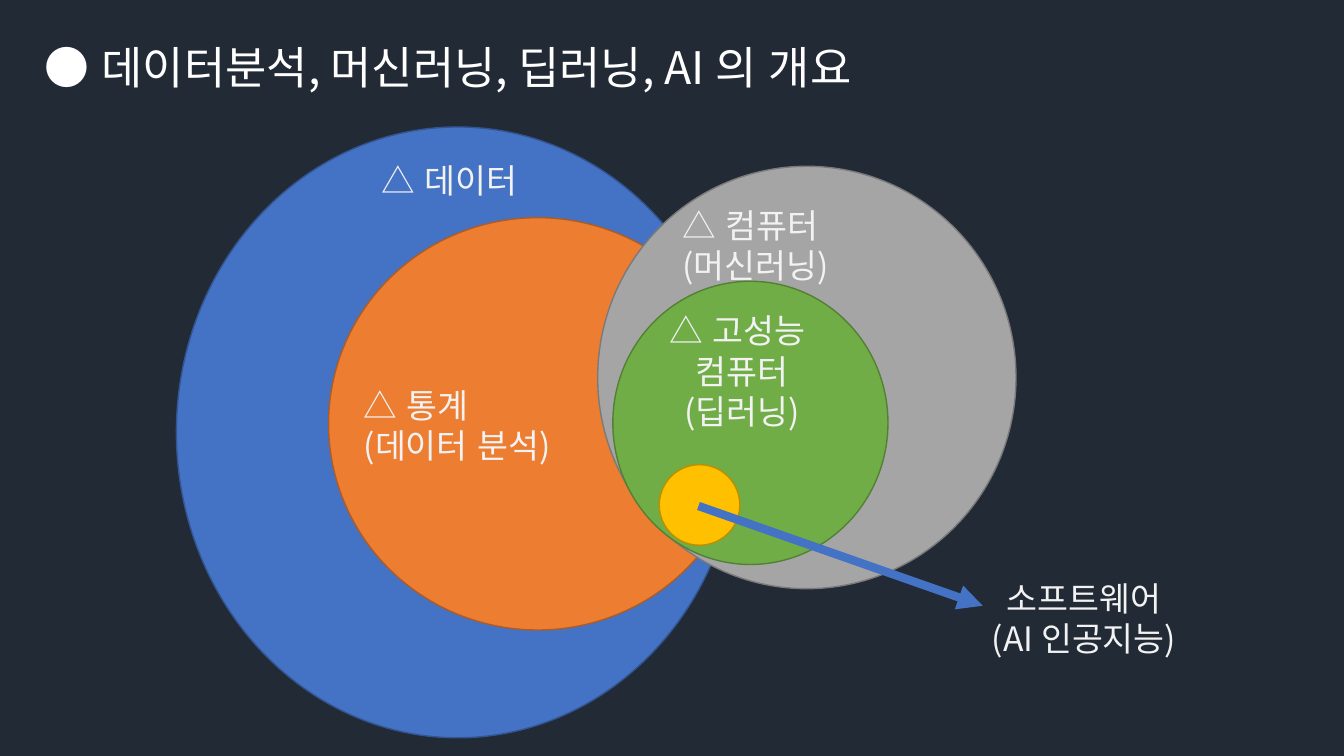
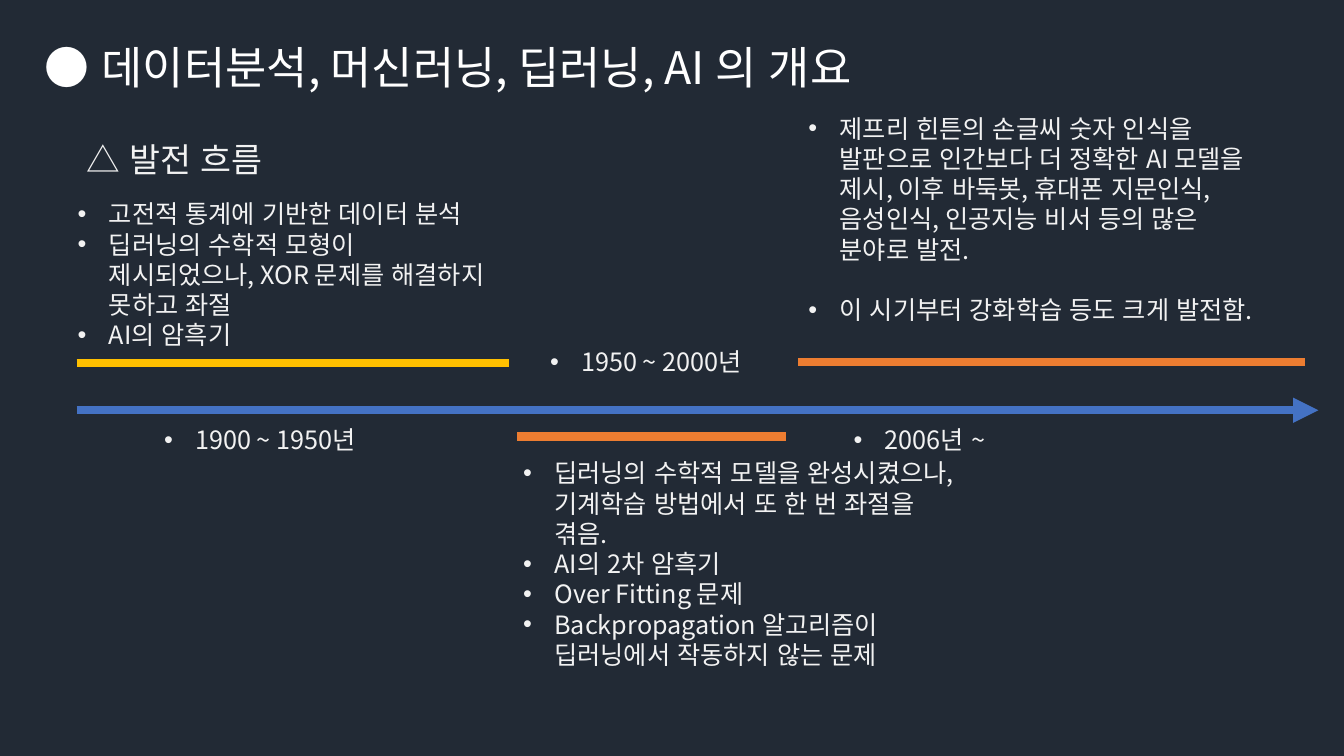
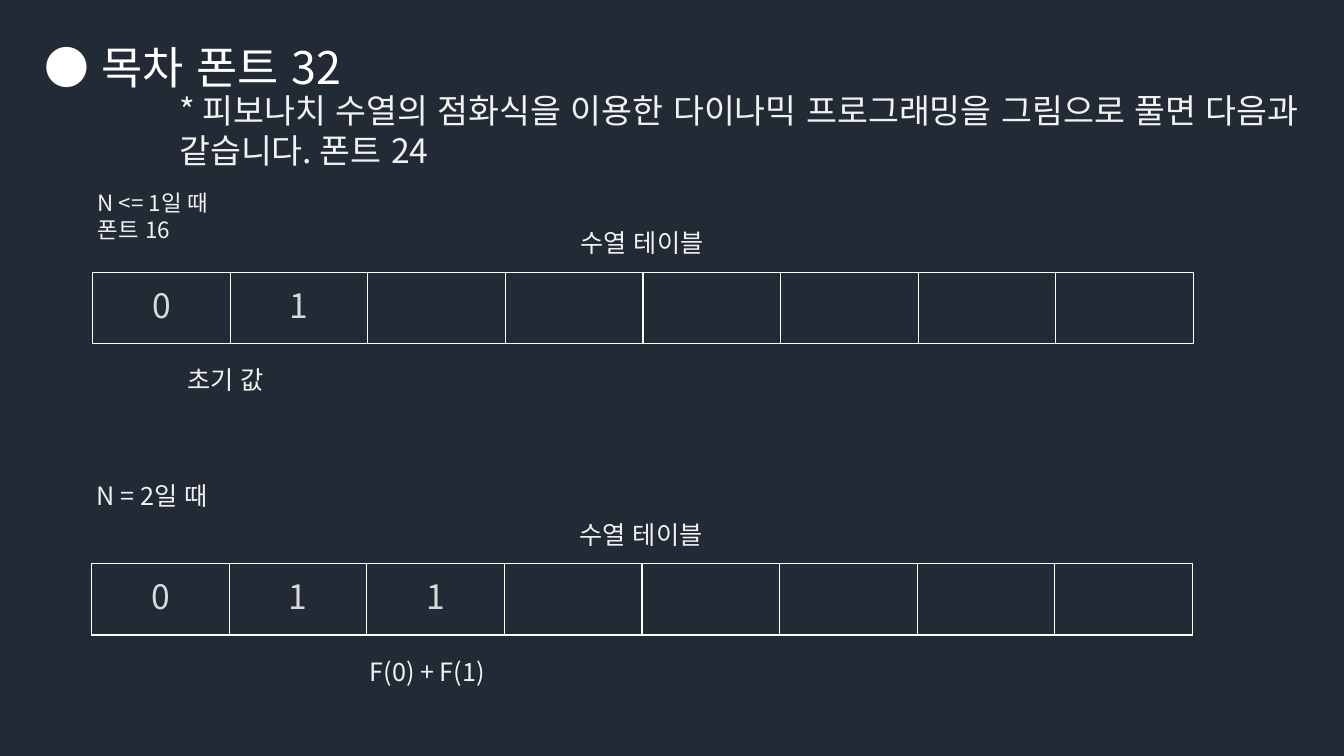
import pptx
import pptx.dml.color
import pptx.enum.lang
import pptx.enum.shapes
import pptx.enum.text
import pptx.oxml
import pptx.oxml.ns
import pptx.util

RGBColor = pptx.dml.color.RGBColor
ALIGN = pptx.enum.text.PP_ALIGN
ANCHOR = pptx.enum.text.MSO_ANCHOR

NAVY = RGBColor(0x22, 0x2A, 0x35)
WHITE = RGBColor(0xFF, 0xFF, 0xFF)
PALE = RGBColor(0xF2, 0xF2, 0xF2)
SILVER = RGBColor(0xD9, 0xD9, 0xD9)
BLUE = RGBColor(0x44, 0x72, 0xC4)
BLUE_EDGE = RGBColor(0x32, 0x54, 0x91)
ORANGE = RGBColor(0xED, 0x7D, 0x31)
ORANGE_EDGE = RGBColor(0xAF, 0x5C, 0x24)
GRAY = RGBColor(0xA5, 0xA5, 0xA5)
GRAY_EDGE = RGBColor(0x7A, 0x7A, 0x7A)
GREEN = RGBColor(0x70, 0xAD, 0x47)
GREEN_EDGE = RGBColor(0x53, 0x80, 0x35)
GOLD = RGBColor(0xFF, 0xC0, 0x00)
GOLD_EDGE = RGBColor(0xBD, 0x8E, 0x00)

FONT = "Noto Sans CJK KR"
COLUMNS, ROWS = 40, 30
LINE_HEIGHT = 1.2
TITLE_ONLY, COMPARISON = 5, 4
OVERVIEW = "● 데이터분석, 머신러닝, 딥러닝, AI 의 개요"


def assign(target, values):
    for name, value in values.items():
        setattr(target, name, value)


def add_xml(parent, tag, **attributes):
    child = pptx.oxml.parse_xml(
        f'<a:{tag} xmlns:a="http://schemas.openxmlformats.org/drawingml/2006/main"/>'
    )
    for name, value in attributes.items():
        child.set(name, str(value))
    parent.append(child)
    return child


class Presenter:
    def __init__(self):
        self.deck = pptx.Presentation()
        assign(self.deck, {
            "slide_width": pptx.util.Inches(13.33),
            "slide_height": pptx.util.Inches(7.5),
        })
        background = self.deck.slide_master.background.fill
        background.solid()
        background.fore_color.rgb = NAVY
        self.page = None

    def x(self, columns):
        return round(self.deck.slide_width * columns / COLUMNS)

    def y(self, rows):
        return round(self.deck.slide_height * rows / ROWS)

    def area(self, left, top, width, height):
        return self.x(left), self.y(top), self.x(width), self.y(height)

    def start(self, layout, title, width):
        self.page = self.deck.slides.add_slide(self.deck.slide_layouts[layout])
        self.fill_box(self.page.shapes.title, (1.02, 1.36, width, 2.56),
                      [title], size=32, color=WHITE)

    def fill_para(self, para, text, size, color, align=ALIGN.LEFT, bullet=False, gap=0):
        assign(para, {
            "alignment": align,
            "line_spacing": pptx.util.Pt(size * LINE_HEIGHT),
            "space_before": pptx.util.Pt(gap),
            "space_after": pptx.util.Pt(0),
        })
        properties = para._p.get_or_add_pPr()
        indent = pptx.util.Inches(0.31) if bullet else 0
        properties.set("marL", str(indent))
        properties.set("indent", str(-indent))
        if bullet:
            add_xml(properties, "buFont", typeface="Arial")
            add_xml(properties, "buChar", char="•")
        else:
            add_xml(properties, "buNone")
        span = para.add_run()
        span.text = text
        assign(span.font, {
            "name": FONT,
            "size": pptx.util.Pt(size),
            "bold": False,
            "language_id": pptx.enum.lang.MSO_LANGUAGE_ID.KOREAN,
        })
        span.font.color.rgb = color
        add_xml(span._r.get_or_add_rPr(), "ea", typeface=FONT)

    def fill_box(self, box, area, lines, size=24, color=PALE,
                 align=ALIGN.LEFT, bullet=False, gap=0):
        assign(box, dict(zip(("left", "top", "width", "height"), self.area(*area))))
        frame = box.text_frame
        assign(frame, {
            "word_wrap": True,
            "auto_size": pptx.enum.text.MSO_AUTO_SIZE.SHAPE_TO_FIT_TEXT,
            "vertical_anchor": ANCHOR.TOP,
            "margin_left": pptx.util.Inches(0.1),
            "margin_right": pptx.util.Inches(0.1),
            "margin_top": pptx.util.Inches(0.05),
            "margin_bottom": pptx.util.Inches(0.05),
        })
        for number, line in enumerate(lines):
            para = frame.add_paragraph() if number else frame.paragraphs[0]
            self.fill_para(para, line, size, color, align, bullet, gap if number else 0)

    def text(self, area, lines, **style):
        box = self.page.shapes.add_textbox(*self.area(*area))
        self.fill_box(box, area, lines, **style)

    def body(self, index, area, lines, **style):
        self.fill_box(self.page.placeholders[index], area, lines, **style)

    def circle(self, area, color, edge):
        shape = self.page.shapes.add_shape(
            pptx.enum.shapes.MSO_SHAPE.OVAL, *self.area(*area))
        shape.shadow.inherit = False
        shape.fill.solid()
        shape.fill.fore_color.rgb = color
        shape.line.color.rgb = edge
        shape.line.width = pptx.util.Pt(1)

    def line(self, start, end, color, arrow=False):
        connector = self.page.shapes.add_connector(
            pptx.enum.shapes.MSO_CONNECTOR.STRAIGHT,
            self.x(start[0]), self.y(start[1]), self.x(end[0]), self.y(end[1]))
        connector.line.color.rgb = color
        connector.line.width = pptx.util.Pt(6)
        if arrow:
            add_xml(connector.line._get_or_add_ln(), "tailEnd", type="triangle")
        add_xml(connector._element.spPr, "effectLst")

    def sequence(self, area, values, count):
        table = self.page.shapes.add_table(1, count, *self.area(*area)).table
        assign(table, {"first_row": False, "horz_banding": False})
        for number, cell in enumerate(table.iter_cells()):
            cell.vertical_anchor = ANCHOR.MIDDLE
            properties = cell._tc.get_or_add_tcPr()
            for side in ("lnL", "lnR", "lnT", "lnB"):
                border = add_xml(properties, side, w=pptx.util.Pt(1))
                add_xml(add_xml(border, "solidFill"), "srgbClr", val=WHITE)
            cell.fill.background()
            if number < len(values):
                self.fill_para(cell.text_frame.paragraphs[0], values[number],
                               24, SILVER, ALIGN.CENTER)


def draw_circles(show):
    show.start(TITLE_ONLY, OVERVIEW, 27.27)
    fields = (
        ((5.25, 5.04, 16.74, 24.24), BLUE, BLUE_EDGE,
         (11.07, 6.16, 7.77, 2), ["△ 데이터"], ALIGN.LEFT),
        ((9.78, 8.64, 12.45, 16.36), ORANGE, ORANGE_EDGE,
         (10.53, 15.08, 7.41, 3.64), ["△ 통계", "(데이터 분석)"], ALIGN.LEFT),
        ((17.79, 6.6, 12.45, 16.76), GRAY, GRAY_EDGE,
         (20.01, 7.92, 7.41, 3.64), ["△ 컴퓨터", "(머신러닝)"], ALIGN.LEFT),
        ((18.24, 11.16, 8.19, 11.24), GREEN, GREEN_EDGE,
         (18.39, 12.12, 7.41, 5.24), ["△ 고성능 ", "컴퓨터", "(딥러닝)"], ALIGN.CENTER),
        ((19.62, 18.44, 2.4, 3.2), GOLD, GOLD_EDGE,
         (28.56, 22.72, 7.41, 3.64), ["소프트웨어", "(AI 인공지능)"], ALIGN.CENTER),
    )
    for area, color, edge, label_area, label, align in fields:
        show.circle(area, color, edge)
        show.text(label_area, label, align=align)
    show.line((20.79, 20.08), (29.25, 24.04), BLUE, arrow=True)


def draw_timeline(show):
    show.start(COMPARISON, OVERVIEW, 27.27)
    show.body(1, (2.28, 5.32, 7.77, 2), ["△ 발전 흐름"])
    show.line((2.28, 16.28), (39.24, 16.28), BLUE, arrow=True)
    eras = (
        ("1900 ~ 1950년", (4.59, 16.64), (2.28, 15.15, 14.4), GOLD,
         (2.01, 7.68, 13.14, 6.48), 0,
         ["고전적 통계에 기반한 데이터 분석",
          "딥러닝의 수학적 모형이 제시되었으나, XOR 문제를 해결하지 못하고 좌절",
          "AI의 암흑기"]),
        ("1950 ~ 2000년", (16.08, 13.56), (15.39, 23.4, 17.32), ORANGE,
         (15.27, 17.96, 13.62, 8.88), 0,
         ["딥러닝의 수학적 모델을 완성시켰으나, 기계학습 방법에서 또 한 번 좌절을 겪음.",
          "AI의 2차 암흑기",
          "Over Fitting 문제",
          "Backpropagation 알고리즘이 딥러닝에서 작동하지 않는 문제"]),
        ("2006년 ~", (25.11, 16.64), (23.76, 38.85, 14.36), ORANGE,
         (23.76, 4.28, 13.95, 10.08), 18 * LINE_HEIGHT,
         ["제프리 힌튼의 손글씨 숫자 인식을 발판으로 인간보다 더 정확한 AI 모델을 "
          "제시, 이후 바둑봇, 휴대폰 지문인식, 음성인식, 인공지능 비서 등의 많은 분야로 발전.",
          "이 시기부터 강화학습 등도 크게 발전함."]),
    )
    for index, era in enumerate(eras, start=2):
        period, corner, (left, right, level), color, area, gap, events = era
        show.line((left, level), (right, level), color)
        show.text((*corner, 6.87, 1.6), [period], size=18, bullet=True)
        show.body(index, area, events, size=18, bullet=True, gap=gap)


def draw_sequences(show):
    show.start(TITLE_ONLY, "● 목차 폰트 32", 15.57)
    show.text((5.04, 3.36, 34.95, 3.64),
              ["* 피보나치 수열의 점화식을 이용한 다이나믹 프로그래밍을 그림으로 "
               "풀면 다음과 같습니다. 폰트 24"])
    steps = (
        (2.76, 10.8, "01", "N <= 1일 때 폰트 16", (7.32, 5.1, 2.56), 16,
         "초기 값", (5.28, 3.36)),
        (2.73, 22.36, "011", "N = 2일 때", (18.88, 5.22, 1.6), 18,
         "F(0) + F(1)", (10.71, 4.35)),
    )
    for left, top, values, condition, place, size, note, (note_left, note_width) in steps:
        show.sequence((left, top, 32.76, 2.84), values, 8)
        show.text((left + 14.22, top - 1.96, 4.8, 1.6), ["수열 테이블"], size=18)
        show.text((note_left, top + 3.48, note_width, 1.6), [note], size=18)
        show.text((left - 0.15, *place), [condition], size=size)


def main():
    show = Presenter()
    draw_circles(show)
    draw_timeline(show)
    draw_sequences(show)
    show.deck.save("out.pptx")


if __name__ == "__main__":
    main()
